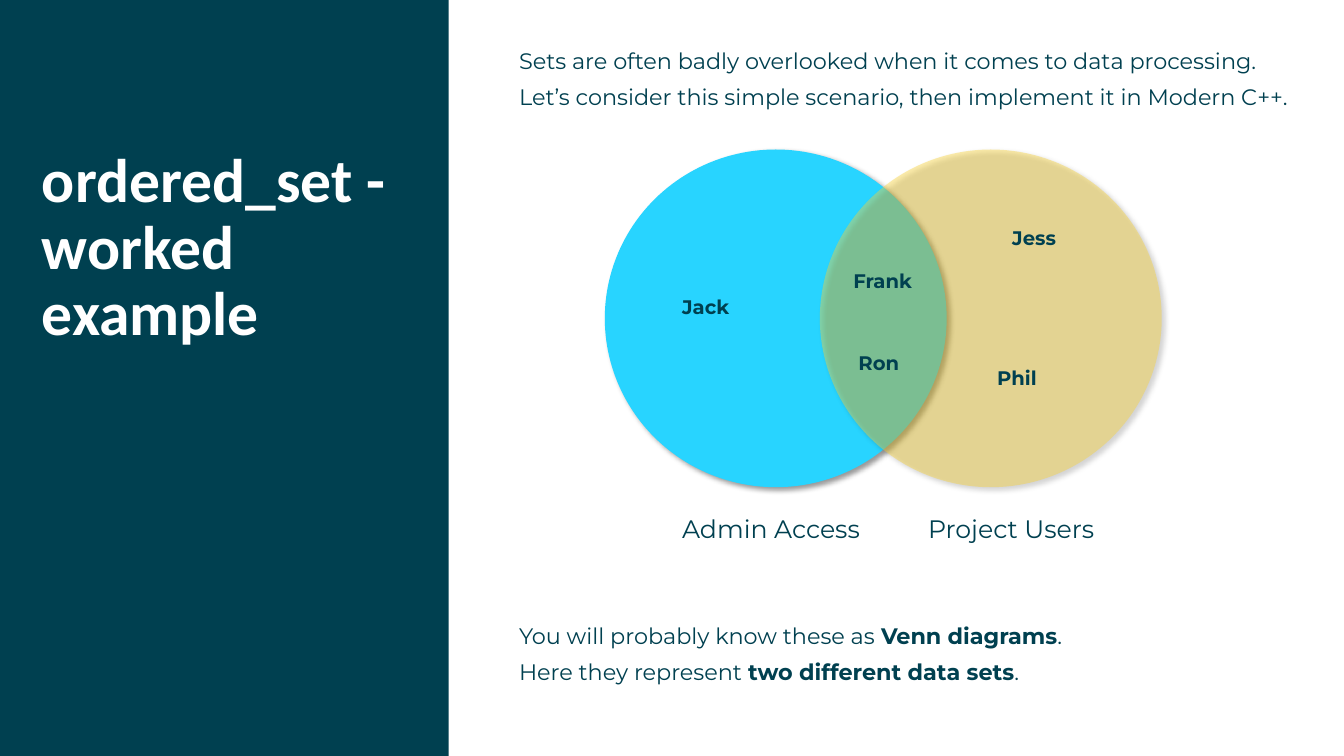
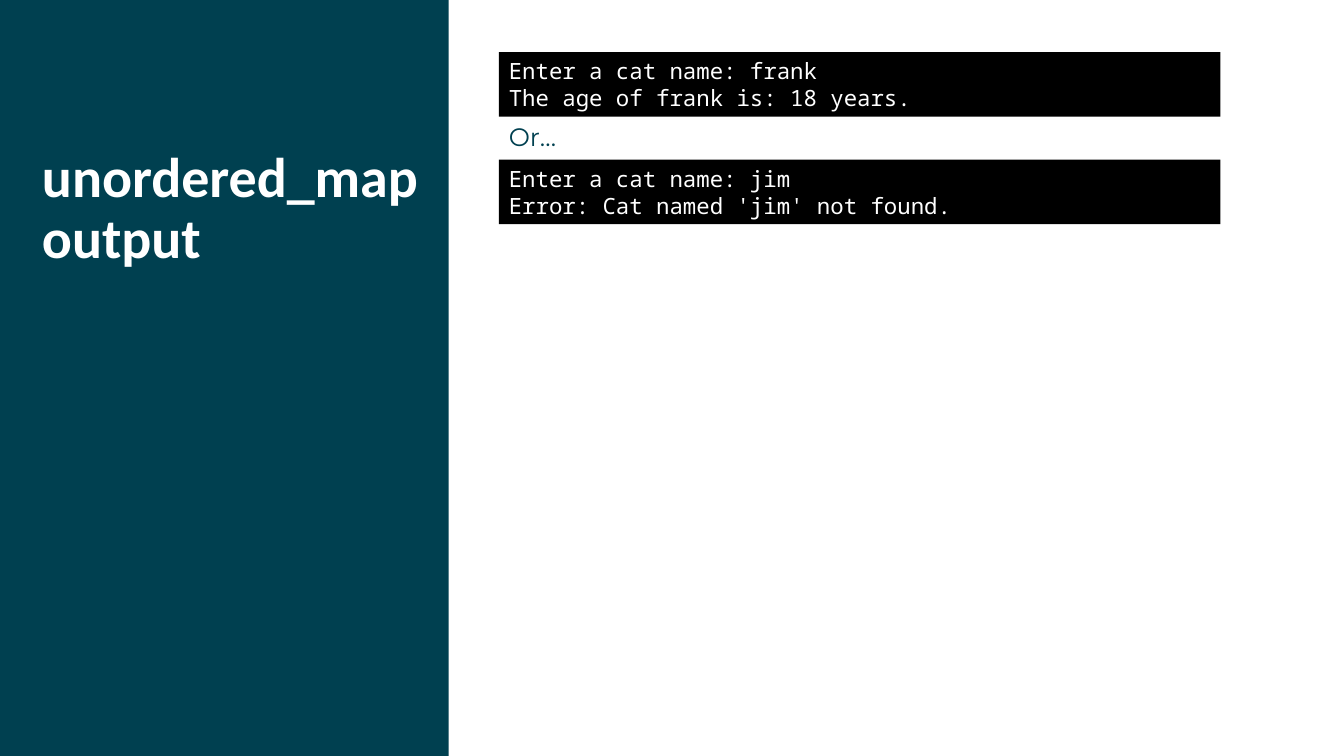
from lxml import etree
from pptx import Presentation
from pptx.dml.color import RGBColor
from pptx.enum.shapes import MSO_SHAPE
from pptx.enum.text import MSO_ANCHOR, MSO_AUTO_SIZE, PP_ALIGN
from pptx.oxml.ns import qn
from pptx.util import Emu, Pt

RECT, OVAL = MSO_SHAPE.RECTANGLE, MSO_SHAPE.OVAL
TOP, MIDDLE = MSO_ANCHOR.TOP, MSO_ANCHOR.MIDDLE
LEFT = PP_ALIGN.LEFT
NO_FIT = MSO_AUTO_SIZE.NONE
TITLE_ONLY = 5

# The slide is a grid of 160 columns by 90 rows of square cells
COLS, ROWS, CELL = 160, 90, 76200
COLORS = {"teal": "004050", "white": "FFFFFF", "black": "000000",
          "cyan": "28D4FF", "yellow": "F8D237"}
HEAD, BODY, MONO = "Calibri", "Montserrat", "Noto Sans Mono"
BAND = (0, 0, 53.4, ROWS)
TITLE = (5, 17.8, 45.2, 36.1)


def cells(*lengths):
    return [Emu(round(n * CELL)) for n in lengths]


def rgb(name):
    return RGBColor.from_string(COLORS[name])


def set_text(sp, paragraphs, size, font=BODY, color="teal", anchor=TOP,
             inset=(0, 0), after=None, spacing=None):
    """Each paragraph is a list of (text, bold) runs."""
    tf = sp.text_frame
    tf.word_wrap, tf.auto_size, tf.vertical_anchor = True, NO_FIT, anchor
    tf.margin_left = tf.margin_right = Pt(inset[0])
    tf.margin_top = tf.margin_bottom = Pt(inset[1])
    for i, runs in enumerate(paragraphs):
        p = tf.add_paragraph() if i else tf.paragraphs[0]
        p.alignment = LEFT
        if after is not None:
            p.space_after = Pt(after)
        if spacing is not None:
            p.line_spacing = spacing
        for text, bold in runs:
            r = p.add_run()
            r.text = text
            r.font.name, r.font.size, r.font.bold = font, Pt(size), bold
            r.font.color.rgb = rgb(color)


def add_text(shapes, box, paragraphs, size, **style):
    sp = shapes.add_textbox(*cells(*box))
    set_text(sp, paragraphs, size, **style)


def add_block(shapes, kind, box, color):
    sp = shapes.add_shape(kind, *cells(*box))
    sp.shadow.inherit = False
    sp.fill.solid()
    sp.fill.fore_color.rgb = rgb(color)
    sp.line.fill.background()
    return sp


def add_alpha(color_element, percent):
    etree.SubElement(color_element, qn("a:alpha"), val=str(percent * 1000))


def add_shadow(sp):
    effects = sp.element.spPr.find(qn("a:effectLst"))
    shadow = etree.SubElement(
        effects, qn("a:outerShdw"), blurRad=str(Pt(4)), dist=str(Pt(3)),
        dir=str(45 * 60000), algn="tl", rotWithShape="0")
    add_alpha(etree.SubElement(shadow, qn("a:srgbClr"), val=COLORS["black"]), 40)


def add_slide(prs, title, size):
    """Slide with the dark side band and its title."""
    s = prs.slides.add_slide(prs.slide_layouts[TITLE_ONLY])
    sp = s.shapes.title
    sp.left, sp.top, sp.width, sp.height = cells(*TITLE)
    set_text(sp, [[(title, True)]], size, HEAD, "white", spacing=0.9)
    band = add_block(s.shapes, RECT, BAND, "teal")
    sp.element.addprevious(band.element)
    return s


def venn(s, x, y):
    """Two overlapping sets with members and captions, from corner x, y."""
    group = s.shapes.add_group_shape().shapes
    width, height, shift = 40.7, 40.2, 25.6
    for dx, color, alpha in ((0, "cyan", None), (shift, "yellow", 42)):
        sp = add_block(group, OVAL, (x + dx, y, width, height), color)
        add_shadow(sp)
        if alpha:
            fill = sp.element.spPr.find(qn("a:solidFill"))
            add_alpha(fill.find(qn("a:srgbClr")), alpha)

    captions = (("Admin Access", 9.2), ("Project Users", 38.5))
    for text, dx in captions:
        add_text(group, (x + dx, y + 43.3, 24, 6), [[(text, False)]], 18)

    members = (("Frank", 29.6, 14.2), ("Ron", 30.2, 24), ("Jess", 48.5, 9.1),
               ("Phil", 46.7, 25.8), ("Jack", 9.2, 17.3))
    for name, dx, dy in members:
        add_text(group, (x + dx, y + dy, 8.9, 3.1), [[(name, True)]], 14)


def console(s, box, lines):
    sp = add_block(s.shapes, RECT, box, "black")
    set_text(sp, [[(line, False)] for line in lines], 16, MONO, "white",
             MIDDLE, (7.2, 3.6))


def worked_example(prs):
    s = add_slide(prs, "ordered_set - worked example", 44)
    intro = [
        [("Sets are often badly overlooked when it comes to data processing.", False)],
        [("Let’s consider this simple scenario, then implement it in Modern C++.", False)],
    ]
    closing = [
        [("You will probably know these as ", False), ("Venn diagrams", True),
         (".", False)],
        [("Here they represent ", False), ("two different data sets", True),
         (".", False)],
    ]
    for row, paragraphs in ((5.6, intro), (74.1, closing)):
        add_text(s.shapes, (61.8, row, 93.1, 9), paragraphs, 16, after=6.5)
    venn(s, 72, 17.8)


def map_output(prs):
    s = add_slide(prs, "unordered_map output", 40)
    x, width, height = 59.4, 85.9, 7.7
    console(s, (x, 6.2, width, height),
            ["Enter a cat name: frank", "The age of frank is: 18 years."])
    console(s, (x, 19, width, height),
            ["Enter a cat name: jim", "Error: Cat named 'jim' not found."])
    add_text(s.shapes, (x, 13.9, 80, 4.8), [[("Or…", False)]], 18,
             inset=(7.2, 3.6))


def main():
    prs = Presentation()
    prs.slide_width, prs.slide_height = cells(COLS, ROWS)
    worked_example(prs)
    map_output(prs)
    prs.save("out.pptx")


if __name__ == "__main__":
    main()
